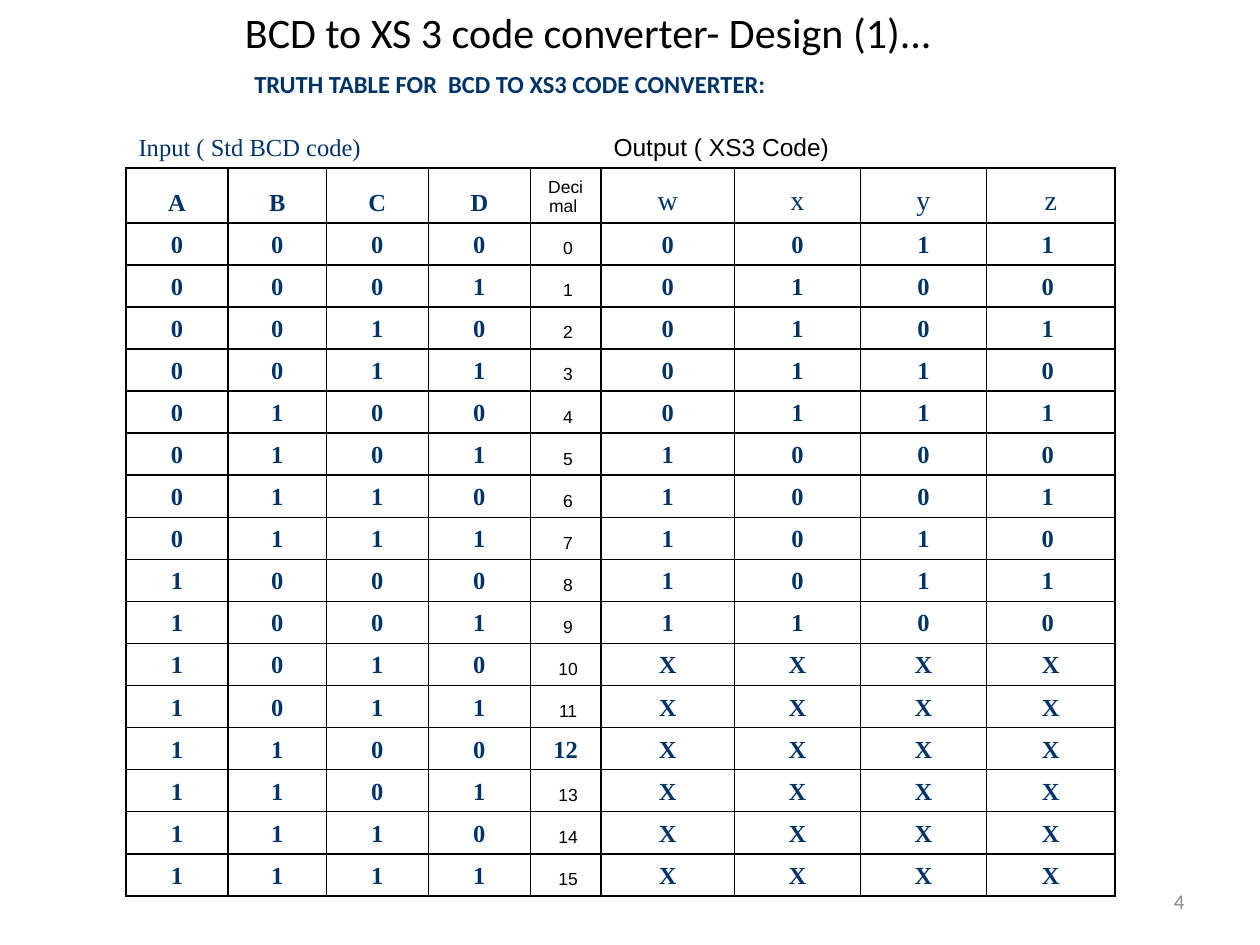
from dataclasses import dataclass, replace

from lxml.etree import SubElement
from pptx import Presentation
from pptx.dml.color import RGBColor
from pptx.enum.text import MSO_ANCHOR as Anchor, PP_ALIGN as Align
from pptx.oxml.ns import qn
from pptx.util import Inches, Pt

NAVY = "003366"
BLACK = "000000"
COLUMN_WIDTHS = [0.81, 0.78, 0.81, 0.81, 0.56, 1.06, 1, 1, 1.02]
DECIMAL_COLUMN = 4
OUTPUT_COLUMN = 5
CODE_COUNT = 16
BCD_DIGITS = 10


@dataclass(frozen=True)
class Style:
    font: str
    size: float
    color: str = NAVY
    bold: bool = False


CODE = Style("Times New Roman", 14, bold=True)
OUTPUT_NAME = Style("Times New Roman", 16)
DECIMAL = Style("Arial", 10, BLACK)
INPUT_GROUP = replace(CODE, bold=False)
OUTPUT_GROUP = Style("Arial", 14, BLACK)


@dataclass(frozen=True)
class TextBox:
    text: str
    left: float
    top: float
    width: float
    height: float
    style: Style
    align: Align = Align.LEFT
    anchor: Anchor = Anchor.MIDDLE
    indent: float = 0


TEXT_BOXES = [
    TextBox("4", 7.17, 6.95, 2.33, 0.4, Style("Calibri", 12, "8C8C8C"), Align.RIGHT),
    TextBox("BCD to XS 3 code converter- Design (1)...", 0.42, -0.08, 8.5, 0.67,
            Style("Calibri", 24, BLACK), Align.CENTER),
    TextBox("TRUTH TABLE FOR  BCD TO XS3 CODE CONVERTER:", 0.42, 0.5, 9.17, 0.5,
            Style("Calibri", 14, bold=True), anchor=Anchor.TOP, indent=1.5),
]


def rgb(color: str) -> RGBColor:
    return RGBColor.from_string(color)


def write(paragraph, text: str, style: Style, align: Align) -> None:
    paragraph.alignment = align
    run = paragraph.add_run()
    run.text = text
    run.font.name = style.font
    run.font.size = Pt(style.size)
    run.font.bold = style.bold
    run.font.color.rgb = rgb(style.color)


def add_text_box(slide, box: TextBox) -> None:
    shape = slide.shapes.add_textbox(Inches(box.left), Inches(box.top),
                                     Inches(box.width), Inches(box.height))
    frame = shape.text_frame
    frame.word_wrap = True
    frame.vertical_anchor = box.anchor
    paragraph = frame.paragraphs[0]
    if box.indent:
        properties = paragraph._p.get_or_add_pPr()
        properties.set("marL", str(Inches(box.indent)))
        properties.set("indent", "0")
    write(paragraph, box.text, box.style, box.align)


def set_borders(cell, visible_sides: str) -> None:
    """Rule the sides named by the letters L, R, T and B; clear the others."""
    properties = cell._tc.get_or_add_tcPr()
    for position, side in enumerate("LRTB"):
        line = properties.makeelement(qn(f"a:ln{side}"), {"w": str(Pt(1))})
        properties.insert(position, line)
        if side in visible_sides:
            fill = SubElement(line, qn("a:solidFill"))
            SubElement(fill, qn("a:srgbClr"), val=BLACK)
        else:
            SubElement(line, qn("a:noFill"))


def fill_cell(cell, text: str, style: Style, align: Align = Align.CENTER) -> None:
    cell.vertical_anchor = Anchor.BOTTOM
    write(cell.text_frame.paragraphs[0], text, style, align)


def code_row(number: int) -> list[str]:
    """Return the BCD bits, the decimal value and the excess-3 bits."""
    if number < BCD_DIGITS:
        output = list(f"{number + 3:04b}")
        output[-1] += " "
    else:
        output = ["X"] * 4
    decimal = "12" if number == 12 else f" {number}"
    return [*f"{number:04b}", decimal, *output]


def add_truth_table(slide) -> None:
    rows = [[*"ABCD", "Decimal ", *"wxyz"], *map(code_row, range(CODE_COUNT))]
    shape = slide.shapes.add_table(len(rows) + 1, len(COLUMN_WIDTHS), Inches(1), Inches(1),
                                   Inches(sum(COLUMN_WIDTHS)), Inches(6.1))
    table = shape.table
    table.first_row = table.horz_banding = False
    for column, width in zip(table.columns, COLUMN_WIDTHS):
        column.width = Inches(width)
    for index, row in enumerate(table.rows):
        row.height = Inches(0.37) if index == 1 else Inches(1) // 3
        for cell in row.cells:
            cell.fill.background()
            set_borders(cell, "LRTB" if index else "B")

    table.cell(0, 0).merge(table.cell(0, DECIMAL_COLUMN))
    table.cell(0, OUTPUT_COLUMN).merge(table.cell(0, len(COLUMN_WIDTHS) - 1))
    fill_cell(table.cell(0, 0), "Input ( Std BCD code)", INPUT_GROUP, Align.LEFT)
    fill_cell(table.cell(0, OUTPUT_COLUMN), "Output ( XS3 Code)", OUTPUT_GROUP, Align.LEFT)

    for row_index, texts in enumerate(rows, start=1):
        for column_index, text in enumerate(texts):
            style = CODE
            if column_index == DECIMAL_COLUMN and text != "12":
                style = DECIMAL
            elif row_index == 1 and column_index >= OUTPUT_COLUMN:
                style = OUTPUT_NAME
            fill_cell(table.cell(row_index, column_index), text, style)


def main() -> None:
    presentation = Presentation()
    presentation.slide_width = Inches(10)
    presentation.slide_height = Inches(7.5)
    slide = presentation.slides.add_slide(presentation.slide_layouts[6])
    for box in TEXT_BOXES:
        add_text_box(slide, box)
    add_truth_table(slide)
    presentation.save("out.pptx")


if __name__ == "__main__":
    main()
